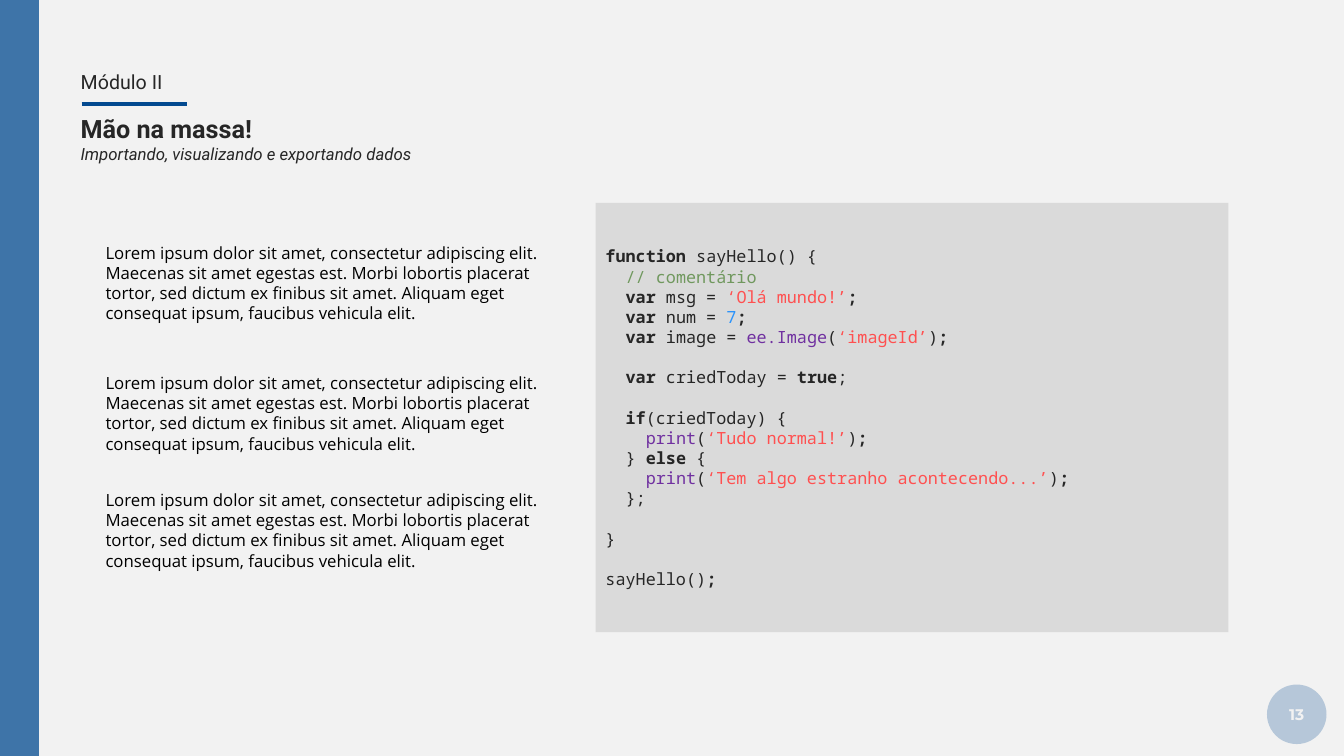
from dataclasses import dataclass

from lxml.etree import SubElement
from pptx import Presentation
from pptx.dml.color import RGBColor
from pptx.enum.shapes import MSO_CONNECTOR, MSO_SHAPE
from pptx.enum.text import MSO_ANCHOR, MSO_AUTO_SIZE, PP_ALIGN
from pptx.oxml.ns import qn
from pptx.util import Cm, Pt

BACKGROUND = RGBColor(0xF2, 0xF2, 0xF2)
BLUE = RGBColor(0x03, 0x4A, 0x90)
PANEL = RGBColor(0xDA, 0xDA, 0xDA)
INK = RGBColor(0x26, 0x26, 0x26)
BLACK = RGBColor(0x00, 0x00, 0x00)
COMMENT = RGBColor(0x70, 0x98, 0x5E)
STRING = RGBColor(0xFF, 0x50, 0x50)
NUMBER = RGBColor(0x2A, 0x93, 0xFB)
CALL = RGBColor(0x70, 0x30, 0xA0)


@dataclass(frozen=True)
class Box:
    left: float
    top: float
    width: float
    height: float

    def lengths(self) -> tuple:
        return Cm(self.left), Cm(self.top), Cm(self.width), Cm(self.height)


@dataclass(frozen=True)
class Style:
    font: str
    size: float
    color: RGBColor = INK
    bold: bool = False
    italic: bool = False


@dataclass(frozen=True)
class Heading:
    text: str
    box: Box
    style: Style


@dataclass(frozen=True)
class CodeLine:
    """Pieces of (text, style); gap leaves one line free above."""
    pieces: tuple
    gap: bool = False


MONO = "Noto Sans Mono"
PLAIN = Style(MONO, 12)
KEYWORD = Style(MONO, 12, bold=True)
REMARK = Style(MONO, 12, COMMENT)
QUOTED = Style(MONO, 12, STRING)
DIGIT = Style(MONO, 12, NUMBER)
FUNCTION = Style(MONO, 12, CALL)
BODY = Style("Open Sans", 12, BLACK)
PAGE = Style("Montserrat", 11, BACKGROUND, bold=True)
CODE_GAP = Pt(14.4)

TITLE = Heading("Módulo II", Box(1.78, 1.55, 2.95, 1.07), Style("Roboto", 14))
SUBTITLES = (
    Heading("Mão na massa!", Box(1.78, 2.74, 15.16, 1.07), Style("Roboto", 18, bold=True)),
    Heading("Importando, visualizando e exportando dados", Box(1.78, 3.38, 15.16, 1.07),
            Style("Roboto", 12, italic=True)),
)
LOREM = (
    "Lorem ipsum dolor sit amet, consectetur adipiscing elit. Maecenas sit amet egestas est. "
    "Morbi lobortis placerat tortor, sed dictum ex finibus sit amet. Aliquam eget consequat "
    "ipsum, faucibus vehicula elit."
)
LOREM_TOPS = (5.99, 9.27, 12.22)


def print_line(message: str) -> CodeLine:
    return CodeLine((("    ", PLAIN), ("print", FUNCTION), ("(", PLAIN),
                     (message, QUOTED), (")", PLAIN), (";", KEYWORD)))


CODE = (
    CodeLine((("function ", KEYWORD), ("sayHello() {", PLAIN))),
    CodeLine((("  ", PLAIN), ("// comentário", REMARK))),
    CodeLine((("  var", KEYWORD), (" msg = ", PLAIN), ("‘Olá mundo!’", QUOTED), (";", KEYWORD))),
    CodeLine((("  var", KEYWORD), (" num = ", PLAIN), ("7", DIGIT), (";", KEYWORD))),
    CodeLine((("  var ", KEYWORD), ("image = ", PLAIN), ("ee.Image", FUNCTION), ("(", PLAIN),
              ("‘imageId’", QUOTED), (")", PLAIN), (";", KEYWORD))),
    CodeLine((("  var ", KEYWORD), ("criedToday = ", PLAIN), ("true", KEYWORD), (";", PLAIN)),
             gap=True),
    CodeLine((("  if", KEYWORD), ("(criedToday) {", PLAIN)), gap=True),
    print_line("‘Tudo normal!’"),
    CodeLine((("  } ", PLAIN), ("else", KEYWORD), (" {", PLAIN))),
    print_line("‘Tem algo estranho acontecendo...’"),
    CodeLine((("  };", PLAIN),)),
    CodeLine((("}", PLAIN),), gap=True),
    CodeLine((("sayHello()", PLAIN), (";", KEYWORD)), gap=True),
)


def add_run(paragraph, text: str, style: Style) -> None:
    run = paragraph.add_run()
    run.text = text
    font = run.font
    font.name, font.size = style.font, Pt(style.size)
    font.bold, font.italic = style.bold, style.italic
    font.color.rgb = style.color


def add_filled_shape(slide, kind: MSO_SHAPE, box: Box, color: RGBColor, opacity: int = 100):
    """Add a shape without outline or shadow; opacity is a percentage."""
    shape = slide.shapes.add_shape(kind, *box.lengths())
    shape.shadow.inherit = False
    shape.fill.solid()
    shape.fill.fore_color.rgb = color
    shape.line.fill.background()
    if opacity < 100:
        color_element = shape.fill._xPr.find(qn("a:solidFill"))[0]
        SubElement(color_element, qn("a:alpha")).set("val", str(opacity * 1000))
    return shape


def write_heading(shape, heading: Heading) -> None:
    shape.left, shape.top, shape.width, shape.height = heading.box.lengths()
    frame = shape.text_frame
    frame.word_wrap = True
    frame.auto_size = MSO_AUTO_SIZE.NONE
    frame.vertical_anchor = MSO_ANCHOR.MIDDLE
    paragraph = frame.paragraphs[0]
    paragraph.alignment = PP_ALIGN.LEFT
    paragraph.line_spacing = 0.9
    add_run(paragraph, heading.text, heading.style)


def add_title_rule(slide) -> None:
    rule = slide.shapes.add_connector(MSO_CONNECTOR.STRAIGHT, Cm(2.06), Cm(2.62), Cm(4.72), Cm(2.62))
    rule.line.color.rgb = BLUE
    rule.line.width = Pt(3)
    SubElement(rule._element.spPr, qn("a:effectLst"))


def add_page_number(slide, number: str) -> None:
    circle = add_filled_shape(slide, MSO_SHAPE.OVAL, Box(31.93, 17.25, 1.5, 1.5), BLUE, 25)
    circle.text_frame.vertical_anchor = MSO_ANCHOR.MIDDLE
    paragraph = circle.text_frame.paragraphs[0]
    paragraph.alignment = PP_ALIGN.CENTER
    add_run(paragraph, number, PAGE)


def add_code_panel(slide) -> None:
    panel = add_filled_shape(slide, MSO_SHAPE.RECTANGLE, Box(15.01, 5.11, 15.95, 10.82), PANEL)
    frame = panel.text_frame
    frame.word_wrap = True
    frame.vertical_anchor = MSO_ANCHOR.MIDDLE
    for index, line in enumerate(CODE):
        paragraph = frame.add_paragraph() if index else frame.paragraphs[0]
        paragraph.alignment = PP_ALIGN.JUSTIFY
        if line.gap:
            paragraph.space_before = CODE_GAP
        for text, style in line.pieces:
            add_run(paragraph, text, style)


def add_body_text(slide, top: float) -> None:
    text_box = slide.shapes.add_textbox(*Box(2.41, top, 12.4, 2.31).lengths())
    frame = text_box.text_frame
    frame.word_wrap = True
    frame.auto_size = MSO_AUTO_SIZE.SHAPE_TO_FIT_TEXT
    add_run(frame.paragraphs[0], LOREM, BODY)


def main() -> None:
    presentation = Presentation()
    presentation.slide_width, presentation.slide_height = Cm(33.87), Cm(19.05)
    slide = presentation.slides.add_slide(presentation.slide_layouts[5])
    slide.background.fill.solid()
    slide.background.fill.fore_color.rgb = BACKGROUND

    write_heading(slide.shapes.title, TITLE)
    add_filled_shape(slide, MSO_SHAPE.RECTANGLE, Box(0, 0, 0.98, 19.05), BLUE, 75)
    add_title_rule(slide)
    for heading in SUBTITLES:
        write_heading(slide.shapes.add_textbox(*heading.box.lengths()), heading)
    add_page_number(slide, "13")
    add_code_panel(slide)
    for top in LOREM_TOPS:
        add_body_text(slide, top)
    presentation.save("out.pptx")


if __name__ == "__main__":
    main()
